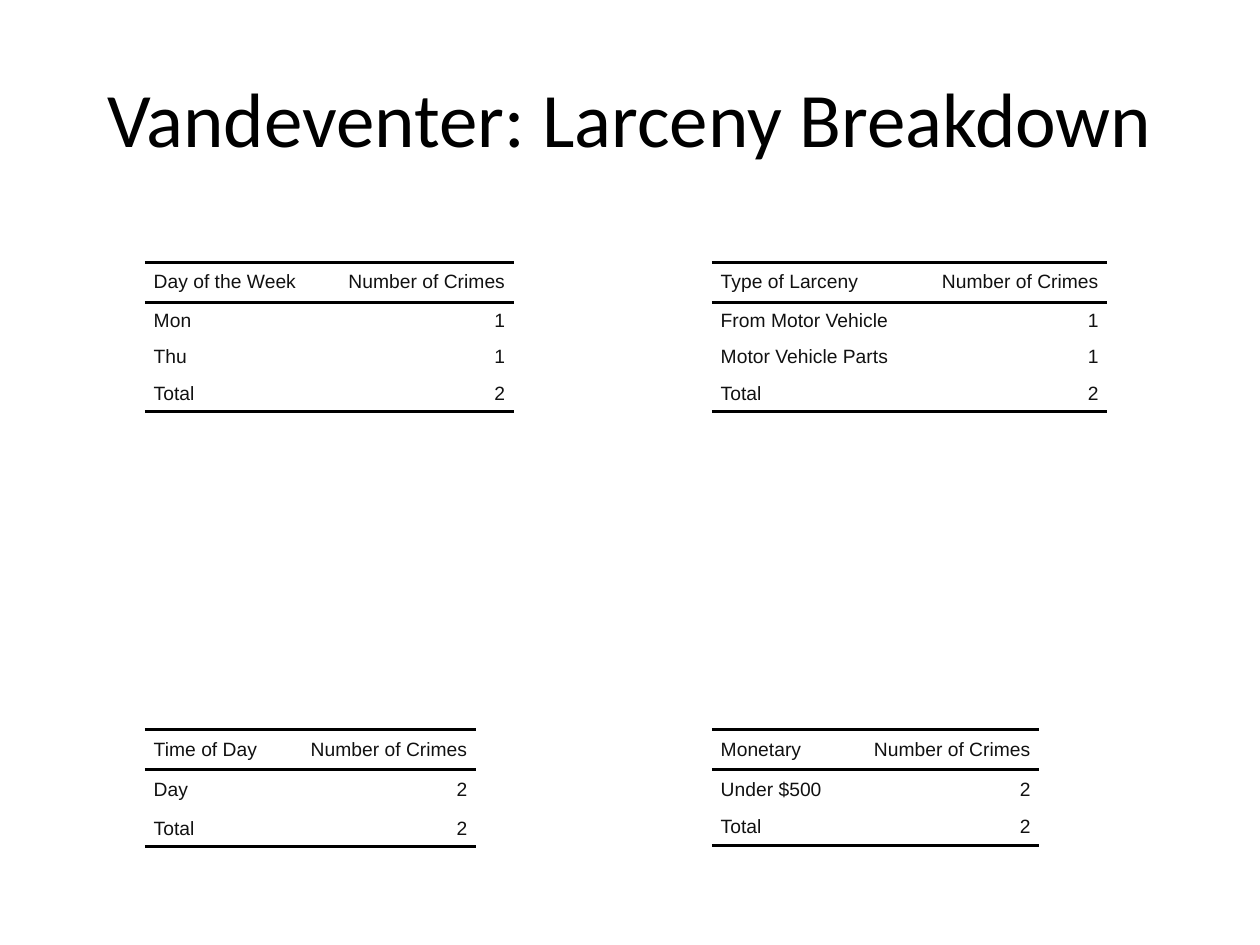
from dataclasses import dataclass

from lxml.etree import SubElement
from pptx import Presentation
from pptx.dml.color import RGBColor
from pptx.enum.text import MSO_ANCHOR, PP_ALIGN
from pptx.oxml.ns import qn
from pptx.slide import Slide
from pptx.table import _Cell
from pptx.text.text import _Paragraph
from pptx.util import Inches, Pt


@dataclass(frozen=True)
class Theme:
    title_font: str = "Calibri"
    table_font: str = "Arial"
    title_size: int = 44
    table_size: int = 11
    title_color: str = "000000"
    table_color: str = "111111"
    rule_color: str = "000000"
    rule_width: int = 2
    cell_spacing: int = 2
    cell_indent: float = 0.07
    plain_table_style: str = "{2D5ABB26-0587-4C30-8999-92F81FD0307C}"


@dataclass(frozen=True)
class Breakdown:
    column: int
    row: int
    label_width: float
    first_row_height: float
    heading: str
    counts: tuple[tuple[str, int], ...]


THEME = Theme()

# Page grid, in inches
PAGE_WIDTH, PAGE_HEIGHT = 10, 7.5
COLUMN_LEFTS = (1.15, 5.65)
ROW_TOPS = (2.08, 5.79)
FRAME_WIDTH, FRAME_HEIGHT = 4, 3
COUNT_WIDTH = 1.52
HEADER_HEIGHT, ROW_HEIGHT = 0.32, 0.29

BREAKDOWNS = (
    Breakdown(0, 0, 1.41, 0.29, "Day of the Week", (("Mon", 1), ("Thu", 1))),
    Breakdown(0, 1, 1.11, 0.32, "Time of Day", (("Day", 2),)),
    Breakdown(1, 0, 1.62, 0.29, "Type of Larceny",
              (("From Motor Vehicle", 1), ("Motor Vehicle Parts", 1))),
    Breakdown(1, 1, 1.08, 0.31, "Monetary", (("Under $500", 2),)),
)


def add_span(para: _Paragraph, text: str, font: str, size: int, color: str) -> None:
    span = para.add_run()
    span.text = text
    span.font.name = font
    span.font.size = Pt(size)
    span.font.color.rgb = RGBColor.from_string(color)


def add_title(page: Slide, text: str) -> None:
    box = page.shapes.add_textbox(
        Inches(0.05 * PAGE_WIDTH), Inches(0.04 * PAGE_HEIGHT),
        Inches(0.9 * PAGE_WIDTH), Inches(PAGE_HEIGHT / 6))
    box.text_frame.word_wrap = True
    box.text_frame.vertical_anchor = MSO_ANCHOR.MIDDLE
    para = box.text_frame.paragraphs[0]
    para.alignment = PP_ALIGN.CENTER
    add_span(para, text, THEME.title_font, THEME.title_size, THEME.title_color)


def add_rule(cell: _Cell, side: str) -> None:
    """Draw a cell border: lnT is the top side, lnB the bottom one."""
    line = SubElement(cell._tc.get_or_add_tcPr(), qn(f"a:{side}"),
                      w=str(Pt(THEME.rule_width)))
    fill = SubElement(line, qn("a:solidFill"))
    SubElement(fill, qn("a:srgbClr"), val=THEME.rule_color)


def fill_cell(cell: _Cell, text: str, alignment: PP_ALIGN, sides: tuple[str, ...]) -> None:
    cell.margin_left = cell.margin_right = cell.margin_top = cell.margin_bottom = 0
    cell.vertical_anchor = MSO_ANCHOR.MIDDLE
    for side in sides:
        add_rule(cell, side)
    cell.fill.background()

    para = cell.text_frame.paragraphs[0]
    para.alignment = alignment
    para.space_before = para.space_after = Pt(THEME.cell_spacing)
    properties = para._p.get_or_add_pPr()
    for name in ("marL", "marR"):
        properties.set(name, str(Inches(THEME.cell_indent)))
    properties.set("indent", "0")
    add_span(para, text, THEME.table_font, THEME.table_size, THEME.table_color)


def add_breakdown(page: Slide, breakdown: Breakdown) -> None:
    total = sum(count for _, count in breakdown.counts)
    records = ((breakdown.heading, "Number of Crimes"), *breakdown.counts, ("Total", total))
    frame = page.shapes.add_table(
        len(records), 2,
        Inches(COLUMN_LEFTS[breakdown.column]), Inches(ROW_TOPS[breakdown.row]),
        Inches(FRAME_WIDTH), Inches(FRAME_HEIGHT))
    table = frame.table
    table.first_row = table.horz_banding = False
    frame._element.find(".//" + qn("a:tableStyleId")).text = THEME.plain_table_style

    for column, width in zip(table.columns, (breakdown.label_width, COUNT_WIDTH)):
        column.width = Inches(width)
    heights = {0: HEADER_HEIGHT, 1: breakdown.first_row_height}
    rules = {0: ("lnT", "lnB"), len(records) - 1: ("lnB",)}
    for index, record in enumerate(records):
        table.rows[index].height = Inches(heights.get(index, ROW_HEIGHT))
        for position, alignment in enumerate((PP_ALIGN.LEFT, PP_ALIGN.RIGHT)):
            fill_cell(table.cell(index, position), str(record[position]),
                      alignment, rules.get(index, ()))

    # Setting columns and rows shrinks the frame, so restore its grid size
    frame.width, frame.height = Inches(FRAME_WIDTH), Inches(FRAME_HEIGHT)


def main() -> None:
    deck = Presentation()
    deck.slide_width, deck.slide_height = Inches(PAGE_WIDTH), Inches(PAGE_HEIGHT)
    page = deck.slides.add_slide(deck.slide_layouts[6])
    add_title(page, "Vandeventer: Larceny Breakdown")
    for breakdown in BREAKDOWNS:
        add_breakdown(page, breakdown)
    deck.save("out.pptx")


if __name__ == "__main__":
    main()
